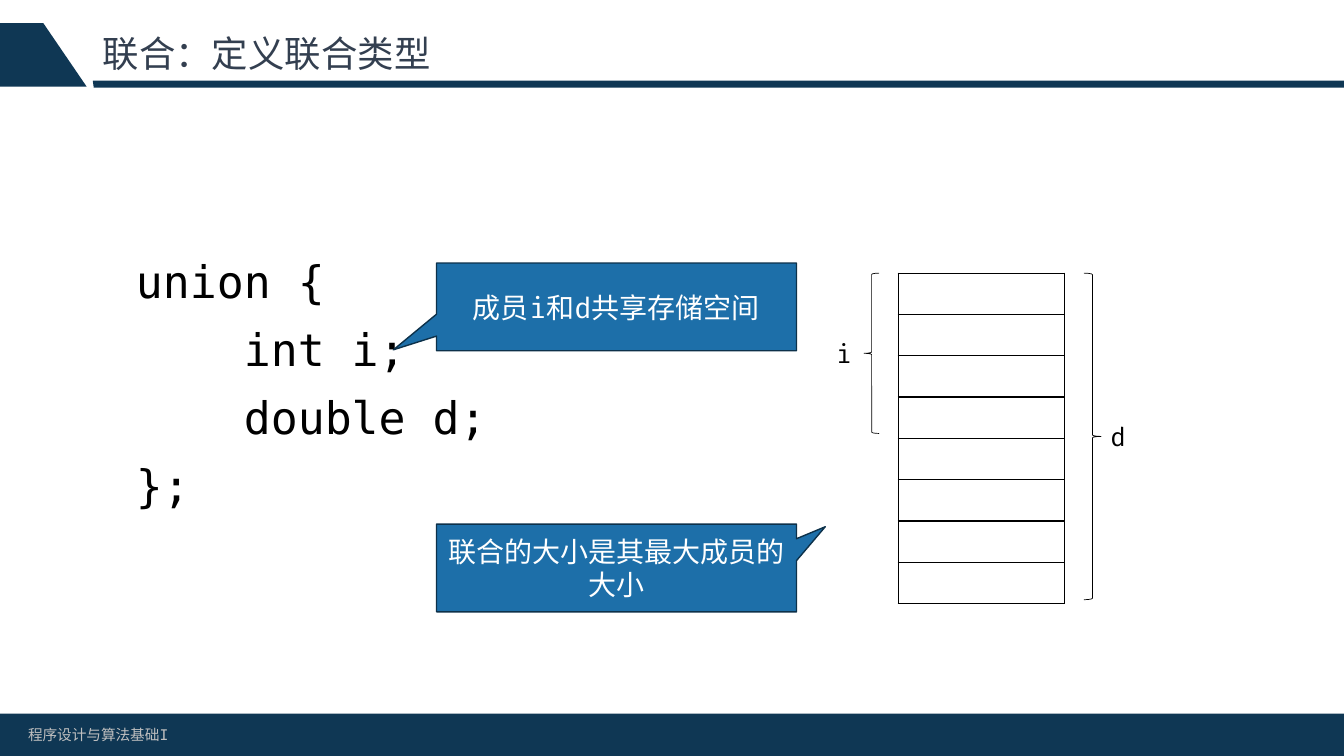
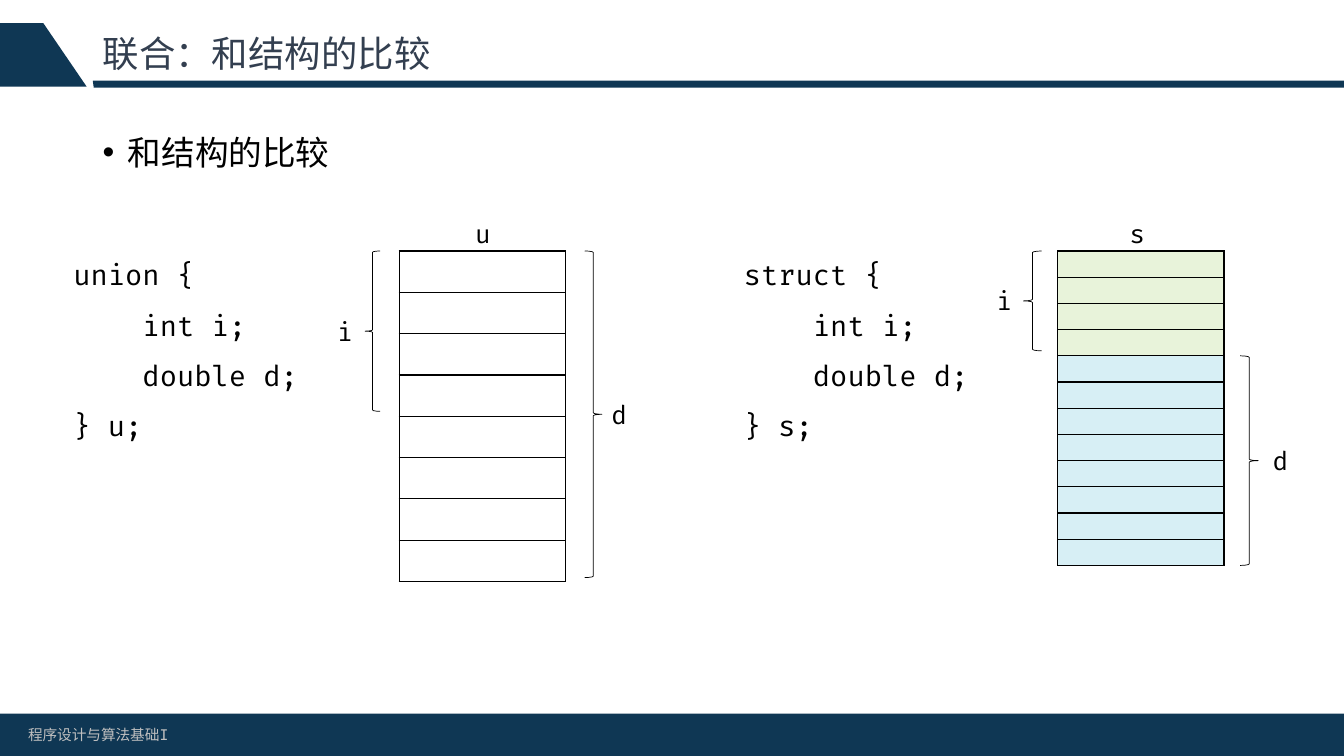
from lxml import etree
from pptx import Presentation
from pptx import util as u
from pptx.dml.color import RGBColor
from pptx.enum import shapes, text
from pptx.oxml.ns import qn

# Shared look
WIDTH, HEIGHT = 13.33, 7.5
NAVY, BLUE, BLUE_EDGE = "0F3754", "1D6FA9", "0D314A"
BLACK, GREEN, CYAN = "000000", "E8F3DA", "D7EFF5"
MONO, FIRA = "DejaVu Sans Mono", "Fira Code"
ALIGN, ANCHOR = text.PP_ALIGN, text.MSO_ANCHOR
FOOTER = "程序设计与算法基础I"
CELL_WIDTH, UNION_ROW, STRUCT_ROW = 1.65, 0.41, 0.26
LABEL_SIZE = 0.5, 0.4

# Each style: font attributes, font colour, paragraph attributes, gap between paragraphs
STYLES = {
    "title": ({"name": MONO, "size": u.Pt(26)}, "333F50", {"line_spacing": 0.9}, 0),
    "footer": ({"name": MONO, "size": u.Pt(10.5)}, "BFBFBF", {}, 0),
    "bullet": ({"name": MONO, "size": u.Pt(24)}, BLACK, {"alignment": ALIGN.JUSTIFY}, 10),
    "big code": ({"name": MONO, "size": u.Pt(32)}, BLACK, {"alignment": ALIGN.JUSTIFY}, 10),
    "code": ({"name": FIRA, "size": u.Pt(20)}, BLACK, {"line_spacing": 1.5}, 0),
    "label": ({"name": FIRA, "size": u.Pt(18)}, BLACK, {"alignment": ALIGN.CENTER}, 0),
    "callout": ({"name": FIRA, "size": u.Pt(20)}, "FFFFFF", {"alignment": ALIGN.CENTER}, 0),
}


def color(value):
    return RGBColor.from_string(value)


def set_attributes(target, values):
    for name, value in values.items():
        setattr(target, name, value)


def inches(*lengths):
    return [u.Inches(length) for length in lengths]


# Text
def add_bullet(paragraph):
    properties = paragraph._p.get_or_add_pPr()
    properties.set("marL", str(u.Inches(0.25)))
    properties.set("indent", str(u.Inches(-0.25)))
    etree.SubElement(properties, qn("a:buFont"), typeface="Arial")
    etree.SubElement(properties, qn("a:buChar"), char="•")


def write(frame, lines, style, anchor=ANCHOR.TOP):
    font_values, font_color, paragraph_values, gap = STYLES[style]
    set_attributes(frame, {"word_wrap": True, "vertical_anchor": anchor})
    for index, line in enumerate(lines):
        paragraph = frame.add_paragraph() if index else frame.paragraphs[0]
        set_attributes(paragraph, paragraph_values)
        if index and gap:
            paragraph.space_before = u.Pt(gap)
        if style == "bullet":
            add_bullet(paragraph)
        run = paragraph.add_run()
        run.text = line
        set_attributes(run.font, font_values)
        run.font.color.rgb = color(font_color)


def add_text(slide, box, lines, style, anchor=ANCHOR.TOP):
    shape = slide.shapes.add_textbox(*inches(*box))
    write(shape.text_frame, lines, style, anchor)


def add_code(slide, box, style, keyword, name=""):
    ending = f"}} {name};" if name else "};"
    lines = [f"{keyword} {{", "    int i;", "    double d;", ending]
    add_text(slide, box, lines, style)


# Shapes
def paint(shape, fill=None, line=None, line_width=1):
    shape.shadow.inherit = False
    if fill:
        shape.fill.solid()
        shape.fill.fore_color.rgb = color(fill)
    else:
        shape.fill.background()
    if line:
        shape.line.color.rgb = color(line)
        shape.line.width = u.Pt(line_width)
    else:
        shape.line.fill.background()


def add_polygon(slide, points, fill):
    start, *others = [inches(*point) for point in points]
    builder = slide.shapes.build_freeform(*start)
    builder.add_line_segments(others, close=True)
    paint(builder.convert_to_shape(), fill)


def add_callout(slide, top, message, pointer):
    shape = slide.shapes.add_shape(
        shapes.MSO_SHAPE.RECTANGULAR_CALLOUT, *inches(4.33, top, 3.57, 0.87))
    for index, value in enumerate(pointer):
        shape.adjustments[index] = value
    paint(shape, BLUE, BLUE_EDGE)
    write(shape.text_frame, [message], "callout", ANCHOR.MIDDLE)


def add_label(slide, left, top, name):
    add_text(slide, (left, top, *LABEL_SIZE), [name], "label")


def add_brace(slide, kind, box, name, label_offset):
    left, top, _, height = box
    shape = slide.shapes.add_shape(kind, *inches(*box))
    paint(shape, line=BLACK, line_width=0.5)
    add_label(slide, left + label_offset, top + (height - LABEL_SIZE[1]) / 2, name)


# Memory tables: one row per byte
def add_borders(cell):
    properties = cell._tc.get_or_add_tcPr()
    for side in ("lnL", "lnR", "lnT", "lnB"):
        border = etree.SubElement(properties, qn(f"a:{side}"), w=str(u.Pt(1)))
        fill = etree.SubElement(border, qn("a:solidFill"))
        etree.SubElement(fill, qn("a:srgbClr"), val=BLACK)


def add_bytes(slide, left, top, count, row_height, fill=None):
    box = inches(left, top, CELL_WIDTH, count * row_height)
    table = slide.shapes.add_table(count, 1, *box).table
    set_attributes(table, {"first_row": False, "horz_banding": False})
    for row in table.rows:
        row.height = u.Inches(row_height)
        cell = row.cells[0]
        set_attributes(cell, {"margin_top": 0, "margin_bottom": 0})
        etree.SubElement(cell.text_frame.paragraphs[0]._p, qn("a:endParaRPr"), sz="800")
        add_borders(cell)
        if fill:
            cell.fill.solid()
            cell.fill.fore_color.rgb = color(fill)
        else:
            cell.fill.background()


def add_union_memory(slide, left, top):
    add_bytes(slide, left, top, 8, UNION_ROW)
    add_brace(slide, shapes.MSO_SHAPE.LEFT_BRACE,
              (left - 0.34, top, 0.15, 1.59), "i", -0.45)
    add_brace(slide, shapes.MSO_SHAPE.RIGHT_BRACE,
              (left + 1.84, top, 0.17, 3.24), "d", 0.09)


def add_struct_memory(slide, left, top):
    middle = top + 4 * STRUCT_ROW
    add_bytes(slide, left, top, 4, STRUCT_ROW, GREEN)
    add_bytes(slide, left, middle, 8, STRUCT_ROW, CYAN)
    add_brace(slide, shapes.MSO_SHAPE.LEFT_BRACE,
              (left - 0.34, top, 0.18, 0.99), "i", -0.44)
    add_brace(slide, shapes.MSO_SHAPE.RIGHT_BRACE,
              (left + 1.81, middle, 0.18, 2.08), "d", 0.15)


# Slides
def add_slide(presentation, title):
    slide = presentation.slides.add_slide(presentation.slide_layouts[6])
    add_polygon(slide, [(0.92, 0.8), (WIDTH, 0.8), (WIDTH, 0.87), (0.93, 0.87)], NAVY)
    add_polygon(slide, [(0.43, 0.23), (0.86, 0.86), (0, 0.86), (0, 0.23)], NAVY)
    band = slide.shapes.add_shape(
        shapes.MSO_SHAPE.RECTANGLE, *inches(0, 7.08, WIDTH, 0.42))
    paint(band, NAVY)
    add_text(slide, (0.18, 7.15, 4.32, 0.29), [FOOTER], "footer")
    add_text(slide, (0.92, 0.23, 11.5, 0.64), [title], "title", ANCHOR.MIDDLE)
    return slide


def build_definition(presentation):
    slide = add_slide(presentation, "联合：定义联合类型")
    add_code(slide, (1.25, 2.47, 10.83, 3.87), "big code", "union")
    add_callout(slide, 2.61, "成员i和d共享存储空间", (-0.62, 0.49))
    add_union_memory(slide, 8.91, 2.71)
    add_callout(slide, 5.2, "联合的大小是其最大成员的大小", (0.58, -0.47))


def build_comparison(presentation):
    slide = add_slide(presentation, "联合：和结构的比较")
    add_text(slide, (0.92, 1.26, 11.5, 0.6), ["和结构的比较"], "bullet")
    add_code(slide, (0.63, 2.34, 2.65, 2.08), "code", "union", "u")
    add_code(slide, (7.28, 2.34, 2.65, 2.08), "code", "struct", "s")
    add_union_memory(slide, 3.96, 2.49)
    add_struct_memory(slide, 10.49, 2.49)
    add_label(slide, 4.54, 2.12, "u")
    add_label(slide, 11.03, 2.12, "s")


def main():
    presentation = Presentation()
    presentation.slide_width, presentation.slide_height = inches(WIDTH, HEIGHT)
    build_definition(presentation)
    build_comparison(presentation)
    presentation.save("out.pptx")


if __name__ == "__main__":
    main()
